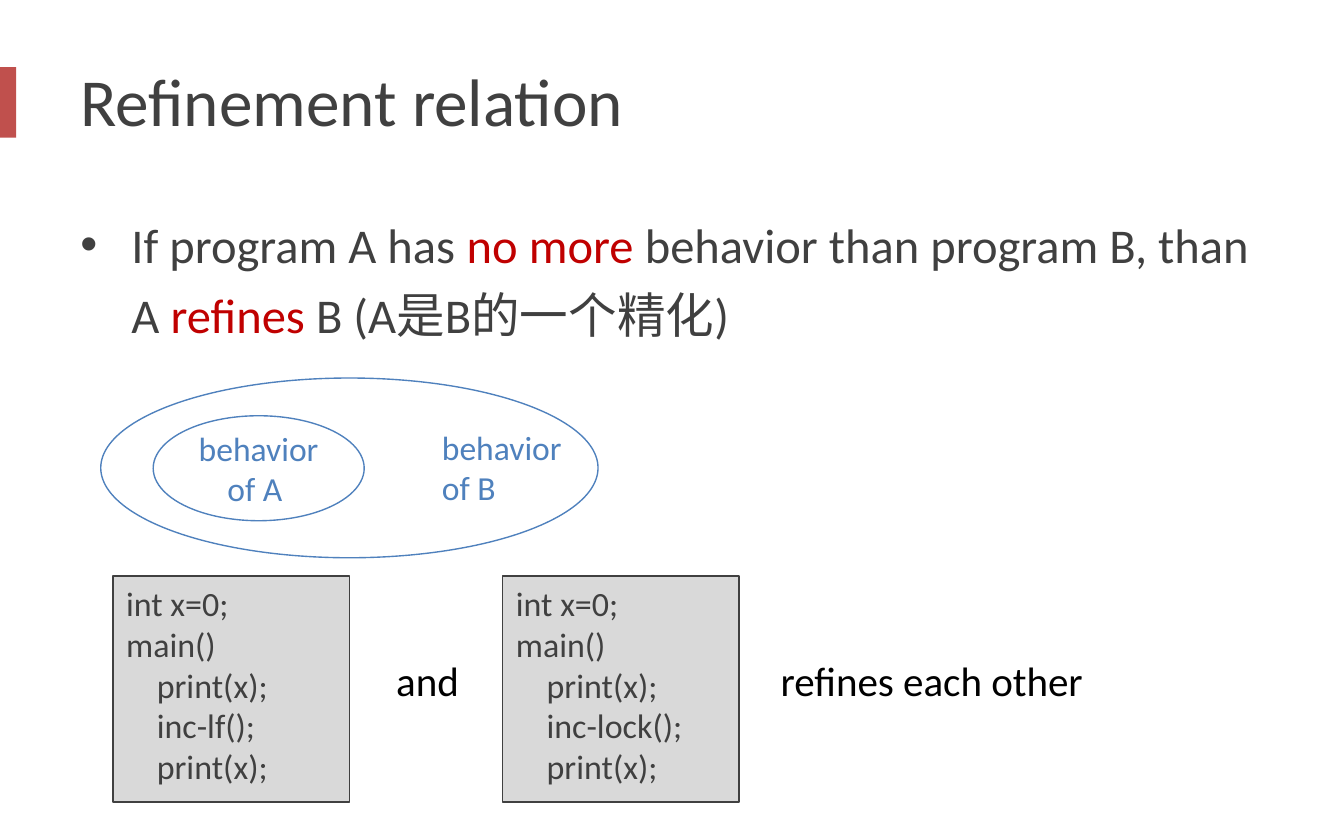
"""Build the slide that explains the refinement relation between programs."""
from lxml import etree
from pptx import Presentation
from pptx import util as u
from pptx.dml.color import RGBColor
from pptx.enum import shapes, text
from pptx.oxml.ns import qn

WIDTH, HEIGHT = 10, 6.25
COLORS = {"accent": "C0504D", "ink": "404040", "red": "C00000",
          "blue": "4F81BD", "panel": "D9D9D9", "black": "000000"}
TITLE = [[("Refinement relation", "ink")]]
STATEMENT = [[("If program A has ", "ink"), ("no more ", "red"),
              ("behavior than program B, than A ", "ink"),
              ("refines ", "red"), ("B (A是B的一个精化)", "ink")]]
INNER_SET = [[("behavior of A ", "blue")]]
OUTER_SET = [[("behavior of B", "blue")]]
INCREMENTS = ["inc-lf", "inc-lock"]
CODE = ["int x=0;", "main()", "    print(x);", "    {}();", "    print(x);"]
REMARKS = [("and", 28.5, 8.4), ("refines each other", 57.1, 27.6)]
CODE_LEFT, CODE_STEP = 8.4, 29
MIDDLE = text.MSO_ANCHOR.MIDDLE
CENTER = text.PP_ALIGN.CENTER
OVAL, RECTANGLE = shapes.MSO_SHAPE.OVAL, shapes.MSO_SHAPE.RECTANGLE


def box(left, top, width, height):
    """Turn percentages of the slide into lengths."""
    return [u.Inches(share * side / 100) for share, side in
            zip((left, top, width, height), (WIDTH, HEIGHT) * 2)]


def write(shape, paragraphs, size, anchor=text.MSO_ANCHOR.TOP, **formats):
    """Fill a shape with paragraphs of coloured runs."""
    frame = shape.text_frame
    frame.word_wrap = True
    frame.vertical_anchor = anchor
    for index, runs in enumerate(paragraphs):
        paragraph = frame.paragraphs[0] if index == 0 else frame.add_paragraph()
        values = {"alignment": text.PP_ALIGN.LEFT, **formats}
        for name, value in values.items():
            setattr(paragraph, name, value)
        for words, color in runs:
            run = paragraph.add_run()
            run.text = words
            for name, value in {"name": "Calibri", "size": u.Pt(size)}.items():
                setattr(run.font, name, value)
            run.font.color.rgb = RGBColor.from_string(COLORS[color])
    return frame


def add_text(slide, place, *content, **formats):
    return write(slide.shapes.add_textbox(*box(*place)), *content, **formats)


def add_figure(slide, kind, place, fill=None, line=None):
    shape = slide.shapes.add_shape(kind, *box(*place))
    shape.shadow.inherit = False
    if fill:
        shape.fill.solid()
        shape.fill.fore_color.rgb = RGBColor.from_string(COLORS[fill])
    else:
        shape.fill.background()
    if line:
        shape.line.color.rgb = RGBColor.from_string(COLORS[line])
        shape.line.width = u.Pt(0.75)
    else:
        shape.line.fill.background()
    return shape


def add_bullet(paragraph, indent):
    properties = paragraph._p.get_or_add_pPr()
    properties.set("marL", str(indent))
    properties.set("indent", str(-indent))
    etree.SubElement(properties, qn("a:buFont"), typeface="Arial")
    etree.SubElement(properties, qn("a:buChar"), char="•")


def main():
    presentation = Presentation()
    presentation.slide_width = u.Inches(WIDTH)
    presentation.slide_height = u.Inches(HEIGHT)
    slide = presentation.slides.add_slide(presentation.slide_layouts[6])

    add_figure(slide, RECTANGLE, (0, 8, 1.2, 8.4), fill="accent")
    add_text(slide, (5, 4, 90, 15.6), TITLE, 36, MIDDLE)
    statement = add_text(slide, (5, 23.4, 90, 76.6), STATEMENT, 26,
                         line_spacing=1.2)
    add_bullet(statement.paragraphs[0], u.Inches(0.38))

    inner = add_figure(slide, OVAL, (11.4, 49.5, 15.7, 12.5), line="blue")
    write(inner, INNER_SET, 18, MIDDLE, alignment=CENTER)
    add_figure(slide, OVAL, (7.5, 45, 37, 21.4), line="blue")
    add_text(slide, (31.9, 50, 11, 11.4), OUTER_SET, 18)

    for index, increment in enumerate(INCREMENTS):
        place = (CODE_LEFT + index * CODE_STEP, 68.6, 17.6, 26.9)
        panel = add_figure(slide, RECTANGLE, place, fill="panel", line="ink")
        write(panel, [[(row.format(increment), "ink")] for row in CODE], 18.2)
    for words, left, width in REMARKS:
        add_text(slide, (left, 77.3, width, 7.5), [[(words, "black")]], 22)

    presentation.save("out.pptx")


if __name__ == "__main__":
    main()
